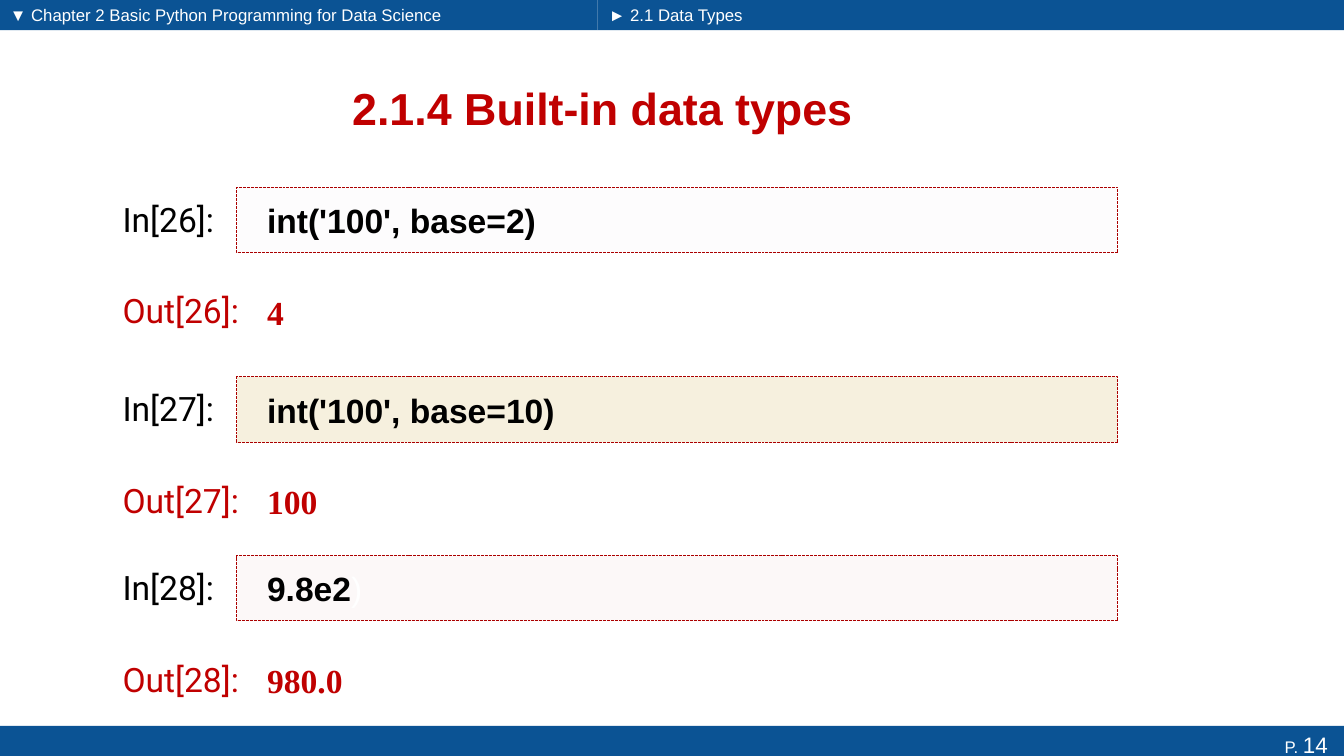
"""Build the slide on built-in data types with its input and output cells."""
from lxml.etree import SubElement
from pptx import Presentation
from pptx.dml.color import RGBColor
from pptx.enum.dml import MSO_LINE
from pptx.enum.shapes import MSO_SHAPE
from pptx.enum.text import MSO_ANCHOR, MSO_AUTO_SIZE, PP_ALIGN
from pptx.oxml.ns import qn
from pptx.util import Cm, Pt

TITLE = "2.1.4 Built-in data types "
CHAPTER = "▼ Chapter 2 Basic Python Programming for Data Science"
SECTION = "► 2.1 Data Types"
PAGE = [("P. ", 12), ("14 ", 16)]
CELLS = [
    (26, ["int('100', base=2)"], "4", "F1EEF4", 4.72),
    (27, ["int('100', base=10)"], "100", "BF9000", 9.5),
    (28, ["9.8e2", ")"], "980.0", "EDCDCB", 14),
]
BLUE, RED, BLACK, WHITE = "0B5394", "C00000", "000000", "FFFFFF"
WIDE, HIGH, SPLIT, BAR = 33.87, 19.05, 15.06, 0.76
LABEL, CODE, CODE_W, CODE_H, STEP = 2.84, 5.97, 22.2, 1.65, 2.31


def color(text):
    return RGBColor.from_string(text)


def style(run, size, name, tint, bold=False):
    font = run.font
    font.size, font.name, font.bold = Pt(size), name, bold
    font.color.rgb = color(tint)


def place(shape, left, top, width, height):
    shape.left, shape.top = Cm(left), Cm(top)
    shape.width, shape.height = Cm(width), Cm(height)


def rect(home, left, top, width, height, tint):
    box = home.add_shape(MSO_SHAPE.RECTANGLE, Cm(left), Cm(top), Cm(width), Cm(height))
    box.shadow.inherit = False
    box.fill.solid()
    box.fill.fore_color.rgb = color(tint)
    box.line.fill.background()
    return box


def text_box(home, left, top, width, height):
    box = home.add_textbox(Cm(left), Cm(top), Cm(width), Cm(height))
    box.text_frame.word_wrap = True
    return box


def write(shape, parts, size, name, tint, bold=False):
    para = shape.text_frame.paragraphs[0]
    para.alignment = PP_ALIGN.LEFT
    for part in parts:
        run = para.add_run()
        run.text = part
        style(run, size, name, tint, bold)
    return para


def crumb(shape, text):
    frame = shape.text_frame
    frame.auto_size = MSO_AUTO_SIZE.NONE
    frame.vertical_anchor = MSO_ANCHOR.TOP
    para = write(shape, [text], 12, "Arial", WHITE)
    para.space_before = Pt(2.4)
    props = para._p.get_or_add_pPr()
    props.set("marL", str(Cm(0.97)))
    props.set("indent", str(-Cm(0.97)))
    SubElement(props, qn("a:buNone"))


def inset(shape):
    frame = shape.text_frame
    frame.margin_left = Cm(0.76)
    frame.vertical_anchor = MSO_ANCHOR.MIDDLE


def cell(home, num, code, result, tint, top):
    group = home.add_group_shape().shapes
    for word, width, ink, row in (("In", 3.12, BLACK, top), ("Out", 3.71, RED, top + STEP)):
        label = text_box(group, LABEL, row + 0.16, width, 1.27)
        write(label, [f"{word}[{num}]:"], 24, "Roboto", ink)
    box = rect(group, CODE, top, CODE_W, CODE_H, tint)
    fill = box._element.spPr.find(qn("a:solidFill"))
    SubElement(fill[0], qn("a:alpha")).set("val", "13000")
    box.line.color.rgb = color("AB0000")
    box.line.width = Pt(0.7)
    box.line.dash_style = MSO_LINE.SQUARE_DOT
    inset(box)
    para = write(box, code, 24, "Arial", BLACK, True)
    for run in para.runs[1:]:
        style(run, 24, "Arial", WHITE)
    out = text_box(group, CODE, top + STEP, CODE_W, CODE_H)
    inset(out)
    write(out, [result], 24, "Times New Roman", RED, True)


def main():
    deck = Presentation()
    deck.slide_width, deck.slide_height = Cm(WIDE), Cm(HIGH)
    slide = deck.slides.add_slide(deck.slide_layouts[1])
    shapes = slide.shapes

    title = shapes.title
    place(title, 1.73, 1.57, 27.23, 2.29)
    title.text_frame.auto_size = MSO_AUTO_SIZE.NONE
    title.text_frame.vertical_anchor = MSO_ANCHOR.MIDDLE
    write(title, [TITLE], 32, "Arial", RED, True).alignment = PP_ALIGN.CENTER

    rect(shapes, 0, 0, SPLIT, BAR, BLUE)
    rect(shapes, SPLIT, 0, WIDE - SPLIT, BAR, BLUE)
    foot = rect(shapes, 0, 18.29, WIDE, 0.94, BLUE)
    foot.text_frame.vertical_anchor = MSO_ANCHOR.TOP
    para = write(foot, [text for text, size in PAGE], 12, "Arial", WHITE)
    para.alignment = PP_ALIGN.RIGHT
    for run, (text, size) in zip(para.runs, PAGE):
        run.font.size = Pt(size)

    crumb(text_box(shapes, 0, 0, 12.27, 0.74), CHAPTER)
    for item in CELLS:
        cell(shapes, *item)

    body = slide.placeholders[1]
    place(body, 15.09, 0, 6.05, 0.74)
    crumb(body, SECTION)
    shapes._spTree.append(body._element)
    deck.save("out.pptx")


if __name__ == "__main__":
    main()
